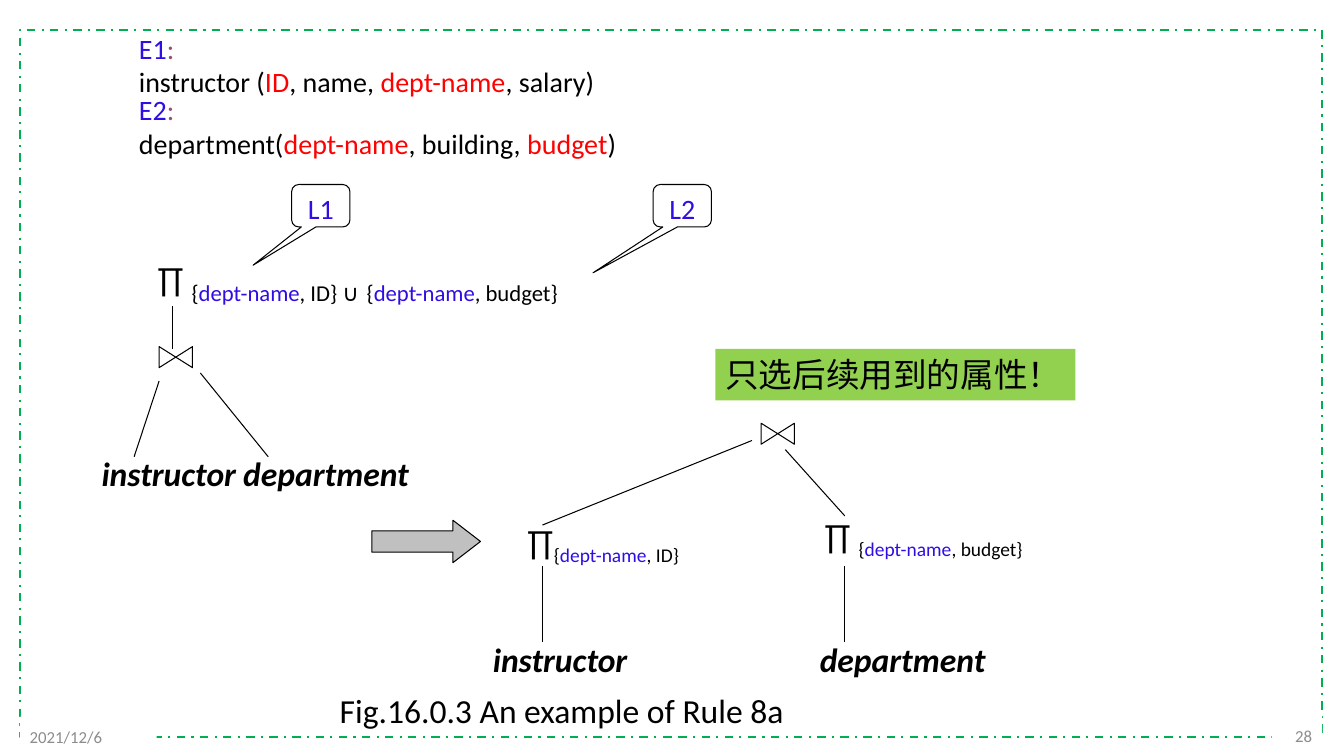
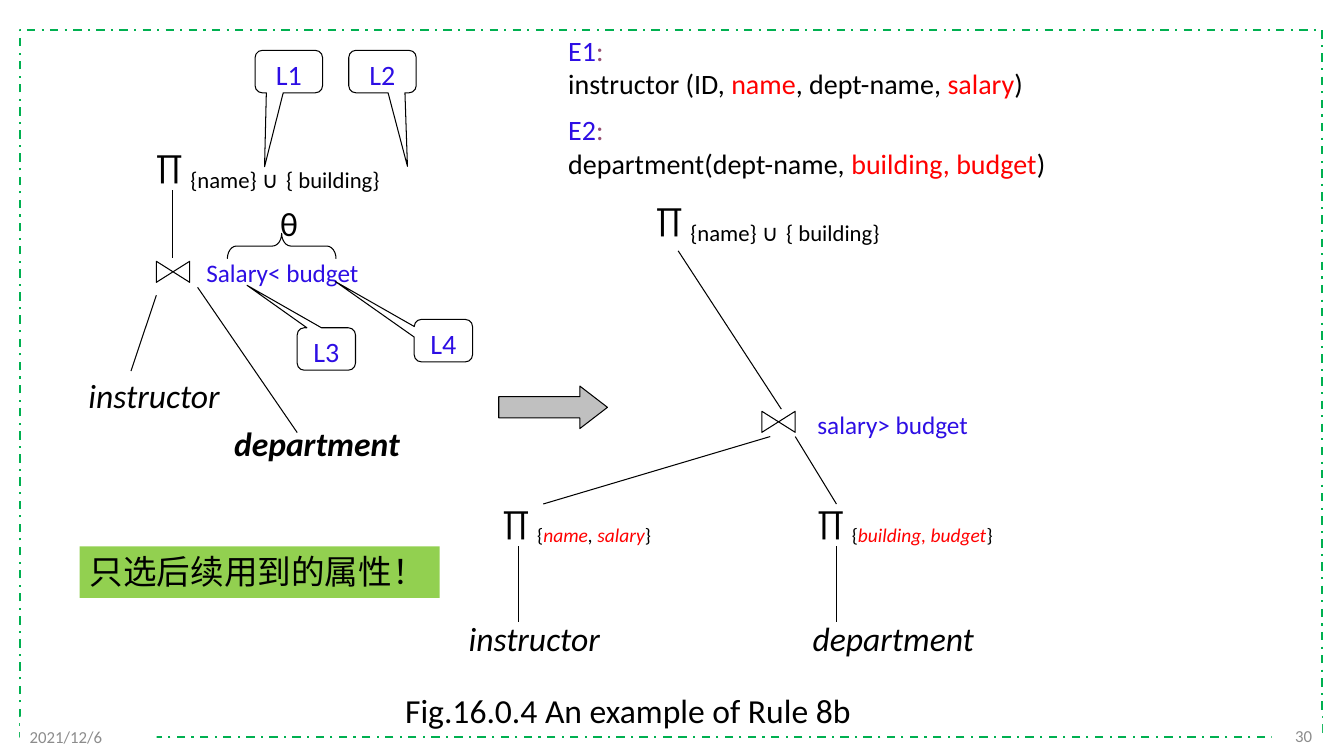
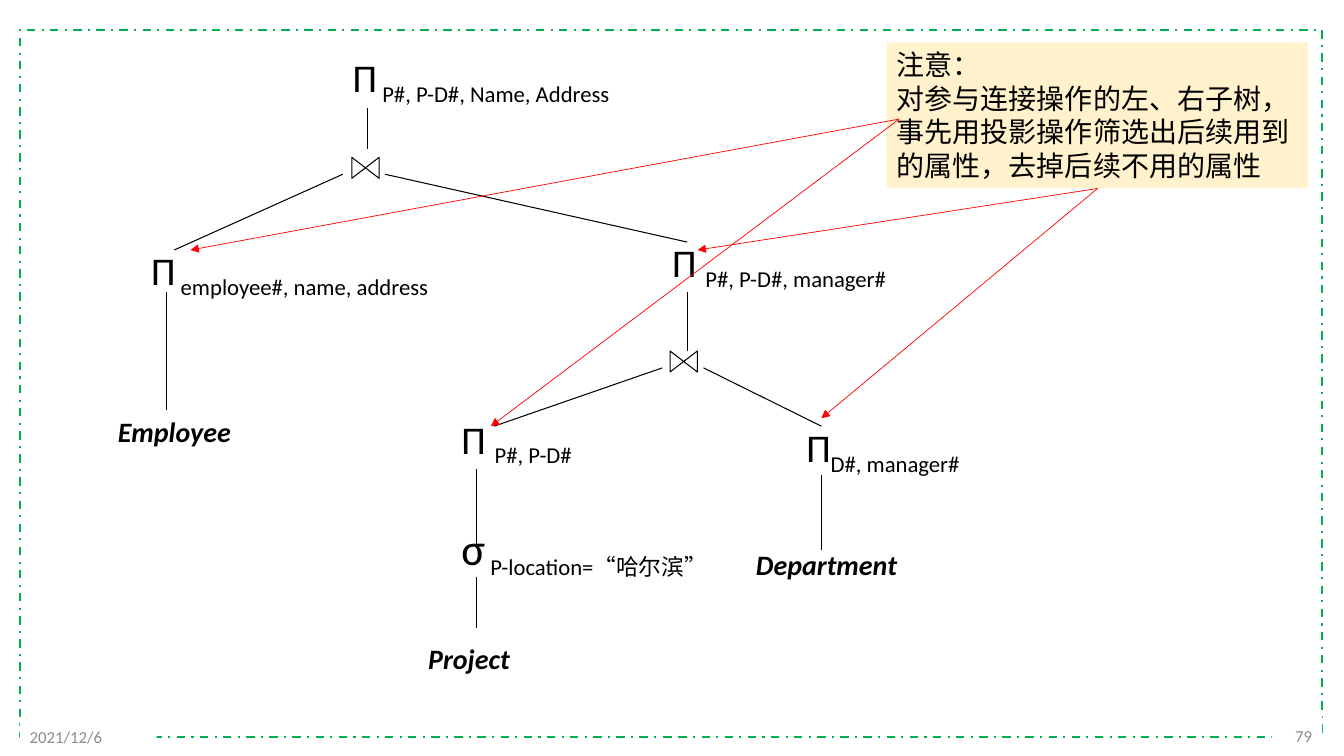
from dataclasses import dataclass

from lxml import etree
from pptx import Presentation
from pptx import util as u
from pptx.dml.color import RGBColor
from pptx.enum import dml, shapes, text
from pptx.oxml.ns import qn

Cm = u.Cm
SHAPE = shapes.MSO_SHAPE
ALIGN = text.PP_ALIGN

# Shared look
LATIN, CJK = "Calibri", "Noto Sans CJK SC"
BLACK, WHITE, RED, BLUE = "000000", "FFFFFF", "FF0000", "2D0EE4"
GREEN, LIME, CREAM = "00B050", "92D050", "FFF2CC"
GREY, SILVER, PLUM = "8C8C8C", "C0C0C0", "954F72"
DATE = "2021/12/6"
HINT = "只选后续用到的属性！"


@dataclass
class Run:
    text: str
    color: str = BLACK
    size: int = 24
    bold: bool = False
    italic: bool = False
    sub: bool = False
    font: str = LATIN


def rgb(value):
    return RGBColor.from_string(value)


# Text
def fill_text(sp, paras, align=ALIGN.LEFT, anchor=text.MSO_ANCHOR.TOP, wrap=True):
    tf = sp.text_frame
    tf.word_wrap = wrap
    tf.vertical_anchor = anchor
    for i, runs in enumerate(paras):
        p = tf.add_paragraph() if i else tf.paragraphs[0]
        p.alignment = align
        for item in runs:
            r = p.add_run()
            r.text = item.text
            f = r.font
            f.name, f.size = item.font, u.Pt(item.size)
            f.bold, f.italic = item.bold, item.italic
            f.color.rgb = rgb(item.color)
            r_pr = r._r.get_or_add_rPr()
            if item.sub:
                r_pr.set("baseline", "-25000")
            r_pr.find(qn("a:latin")).addnext(
                etree.Element(qn("a:ea"), typeface=CJK))


def add_text(s, x, y, w, h, *paras, wrap=False):
    sp = s.shapes.add_textbox(Cm(x), Cm(y), Cm(w), Cm(h))
    fill_text(sp, paras, wrap=wrap)
    sp.text_frame.auto_size = text.MSO_AUTO_SIZE.SHAPE_TO_FIT_TEXT
    return sp


def relation(s, x, y, name, bold=True, size=24):
    add_text(s, x, y, 5.2, 1.27, [Run(name, size=size, bold=bold, italic=True)])


def caption(s, x, label):
    add_text(s, x, 17.27, 11.8, 1.27, [Run(label)])


def condition(s, x, y, label):
    add_text(s, x, y, 4.4, 1.02, [Run(label, BLUE, 18)])


def operator(s, x, y, w, symbol, *subs, size=24):
    """An operator sign with subscripts, each given as (text, colour[, italic])."""
    runs = [Run(symbol, size=size)]
    for label, color, *italic in subs:
        runs.append(Run(label, color, size, sub=True, italic=bool(italic)))
    add_text(s, x, y, w, 1.45, runs)


def union_operator(s, x, y, left, right):
    """Projection on the union of two attribute lists."""
    runs = [Run("∏ ")]
    runs += [Run(t, c, 28, sub=True) for t, c in left]
    runs.append(Run(" "))
    runs += [Run(t, c, 28, sub=True) for t, c in right]
    add_text(s, x, y, 12.4, 2.64, runs)


def schemas(s, x, tops, *lines):
    """Headed relation schemas; each line is a list of (text, colour)."""
    for i, (y, line) in enumerate(zip(tops, lines), 1):
        add_text(s, x, y, 13.28, 1.96,
                 [Run(f"E{i}", BLUE, 20), Run(":", PLUM, 20)],
                 [Run(t, c, 20) for t, c in line], wrap=True)


# Shapes
def add_shape(s, kind, x, y, w, h, fill=None, line=None, weight=0.75, adj=()):
    sp = s.shapes.add_shape(kind, Cm(x), Cm(y), Cm(w), Cm(h))
    sp.shadow.inherit = False
    if fill:
        sp.fill.solid()
        sp.fill.fore_color.rgb = rgb(fill)
    else:
        sp.fill.background()
    if line:
        sp.line.color.rgb = rgb(line)
        sp.line.width = u.Pt(weight)
    else:
        sp.line.fill.background()
    for i, value in enumerate(adj):
        sp.adjustments[i] = value
    return sp


def join(s, cx, cy, w=0.84):
    """Bow-tie join sign centred on a point."""
    h = 0.53
    sp = add_shape(s, SHAPE.FLOWCHART_COLLATE, cx - h / 2, cy - w / 2, h, w, line=BLACK)
    sp.rotation = 90


def callout(s, x, y, label, dx, dy, w=1.47):
    sp = add_shape(s, SHAPE.ROUNDED_RECTANGULAR_CALLOUT, x, y, w, 1.07,
                   line=BLACK, adj=(dx, dy, 0.17))
    fill_text(sp, [[Run(label, BLUE, 20)]], ALIGN.CENTER)


def block_arrow(s, x, y):
    add_shape(s, SHAPE.RIGHT_ARROW, x, y, 2.74, 1.07, SILVER, BLACK, adj=(0.5, 0.65))


def hint(s, x, y):
    sp = add_shape(s, SHAPE.RECTANGLE, x, y, 9.07, 1.3, LIME)
    fill_text(sp, [[Run(HINT, font=CJK)]], wrap=False)


# Lines
def add_line(s, x1, y1, x2, y2, color=BLACK, weight=0.75, arrow=False):
    c = s.shapes.add_connector(shapes.MSO_CONNECTOR.STRAIGHT,
                               Cm(x1), Cm(y1), Cm(x2), Cm(y2))
    c.line.color.rgb = rgb(color)
    c.line.width = u.Pt(weight)
    if arrow:
        etree.SubElement(c.line._get_or_add_ln(), qn("a:tailEnd"), type="triangle")
    etree.SubElement(c._element.spPr, qn("a:effectLst"))
    return c


def add_lines(s, *ends):
    for end in ends:
        add_line(s, *end)


# Page frame, date and number
def new_slide(prs, number):
    s = prs.slides.add_slide(prs.slide_layouts[6])
    frame = add_shape(s, SHAPE.RECTANGLE, 0.5, 0.76, 32.82, 17.81, line=GREEN, weight=1.5)
    frame.line.dash_style = dml.MSO_LINE.DASH_DOT
    for x, y, w, label, align in ((32.05, 18.03, 1.27, str(number), ALIGN.RIGHT),
                                  (0.5, 18.06, 3.45, DATE, ALIGN.LEFT)):
        sp = add_shape(s, SHAPE.RECTANGLE, x, y, w, 1.02, WHITE)
        fill_text(sp, [[Run(label, GREY, 12)]], align, text.MSO_ANCHOR.MIDDLE)
    return s


def rule_8a(prs):
    s = new_slide(prs, 28)
    schemas(s, 3.25, (0.66, 2.21),
            [("instructor (", BLACK), ("ID", RED), (", name, ", BLACK),
             ("dept-name", RED), (", salary)", BLACK)],
            [("department(", BLACK), ("dept-name", RED), (", building, ", BLACK),
             ("budget", RED), (")", BLACK)])
    # Tree before the rule
    key = [("{", BLACK), ("dept-name", BLUE)]
    union_operator(s, 3.71, 6.24, key + [(", ID} ∪", BLACK)], key + [(", budget}", BLACK)])
    callout(s, 7.35, 4.65, "L1", -1.16, 1.4)
    callout(s, 16.46, 4.65, "L2", -1.53, 1.58)
    join(s, 4.43, 9)
    add_lines(s, (4.34, 7.72, 4.34, 8.79), (4.01, 9.6, 3.38, 11.51),
              (5.05, 9.4, 6.76, 11.51))
    relation(s, 2.31, 11.3, "instructor")
    relation(s, 5.88, 11.3, "department")
    block_arrow(s, 9.37, 13.11)
    # Tree after the rule
    hint(s, 18.03, 8.79)
    join(s, 19.6, 10.93)
    add_lines(s, (18.95, 11.1, 13.67, 13.23), (19.79, 11.33, 21.29, 13))
    operator(s, 13.03, 13, 5.11, "∏", *key, (", ID}", BLACK))
    operator(s, 20.52, 12.85, 6.22, "∏ ", *key, (", budget}", BLACK))
    for x in (13.67, 21.29):
        add_line(s, x, 14.27, x, 16.18)
    relation(s, 12.17, 15.98, "instructor")
    relation(s, 20.41, 15.98, "department")
    caption(s, 8.31, "Fig.16.0.3 An example of Rule 8a")


def rule_8b(prs):
    s = new_slide(prs, 30)
    schemas(s, 14.07, (0.71, 2.72),
            [("instructor (ID, ", BLACK), ("name", RED), (", dept-name, ", BLACK),
             ("salary", RED), (")", BLACK)],
            [("department(dept-name, ", BLACK), ("building, budget", RED), (")", BLACK)])
    # Projection at the root of both trees
    for x, y in ((3.68, 3.38), (16.28, 4.72)):
        union_operator(s, x, y, [("{name} ∪", BLACK)], [("{ building}", BLACK)])
    # Tree before the rule
    join(s, 4.36, 6.85)
    condition(s, 4.95, 6.35, "Salary< budget")
    add_lines(s, (4.34, 4.8, 4.34, 6.5), (3.94, 7.44, 3.3, 9.35),
              (4.98, 7.24, 7.49, 10.9))
    callout(s, 6.43, 1.27, "L1", -0.36, 2.24, 1.7)
    callout(s, 8.79, 1.27, "L2", 0.37, 2.23, 1.7)
    callout(s, 10.44, 8.05, "L4", -1.85, -1.39)
    callout(s, 7.49, 8.26, "L3", -1.36, -1.5)
    brace = add_shape(s, SHAPE.RIGHT_BRACE, 6.78, 4.83, 0.64, 2.74,
                      line=BLACK, adj=(0.36, 0.5))
    brace.rotation = 270
    add_text(s, 6.81, 4.98, 0.97, 1.27, [Run("θ")])
    relation(s, 1.98, 9.32, "instructor", bold=False)
    relation(s, 5.65, 10.54, "department")
    hint(s, 2.01, 13.77)
    block_arrow(s, 12.57, 9.73)
    # Tree after the rule
    join(s, 19.62, 10.63)
    condition(s, 20.35, 10.19, "salary> budget")
    add_lines(s, (17.09, 6.32, 19.69, 10.31), (19.41, 11, 13.69, 12.7),
              (20.04, 11, 21.08, 12.7))
    operator(s, 12.42, 12.49, 4.95, "∏ ", ("{", BLACK), ("name", RED, True),
             (", ", BLACK, True), ("salary", RED, True), ("}", BLACK))
    operator(s, 20.35, 12.49, 5.74, "∏ ", ("{", BLACK),
             ("building, budget", RED, True), ("}", BLACK))
    for x in (13.06, 21.08):
        add_line(s, x, 13.77, x, 15.67)
    relation(s, 11.56, 15.44, "instructor", bold=False)
    relation(s, 20.23, 15.44, "department", bold=False)
    caption(s, 9.96, "Fig.16.0.4 An example of Rule 8b")


def projection_tree(prs):
    s = new_slide(prs, 79)
    # Operators
    for x, y, symbol, label in ((8.64, 1.22, "Π", " P#, P-D#, Name, Address"),
                                (3.56, 6.08, "Π", " employee#, name, address"),
                                (16.69, 5.89, "Π ", "P#, P-D#, manager#"),
                                (11.38, 10.33, "Π ", "P#, P-D#"),
                                (20.07, 10.54, "Π", "D#, manager#")):
        operator(s, x, y, 8.5, symbol, (label, BLACK), size=28)
    add_text(s, 11.38, 13, 7.24, 1.45,
             [Run("σ", size=32), Run(" P-location=", size=28, sub=True),
              Run("“哈尔滨”", size=28, sub=True, font=CJK)])
    join(s, 9.21, 4.23, 0.69)
    join(s, 17.23, 9.11, 0.69)
    # Relations
    relation(s, 2.72, 10.33, "Employee", size=20)
    relation(s, 10.54, 16.05, "Project", size=20)
    relation(s, 18.8, 13.68, "Department", size=20)
    # Branches
    add_lines(s, (9.27, 2.72, 9.27, 3.76), (8.64, 4.39, 4.39, 6.3),
              (9.7, 4.39, 17.32, 6.1), (4.19, 7.37, 4.19, 10.34),
              (17.32, 7.37, 17.32, 8.84), (16.69, 9.27, 12.45, 10.74),
              (17.73, 9.27, 20.7, 10.74), (12.01, 11.81, 12.01, 13.72),
              (12.01, 14.55, 12.01, 15.82), (20.7, 11.96, 20.7, 13.87))
    # Note with pointers
    note = add_shape(s, SHAPE.RECTANGLE, 22.35, 1.07, 10.62, 3.68, CREAM)
    fill_text(note, [[Run(t, size=20, font=CJK)] for t in (
        "注意：",
        "对参与连接操作的左、右子树，事先用投影操作筛选出后续用到的属性，去掉后续不用的属性")])
    for x, y in ((17.58, 6.3), (20.7, 10.54)):
        c = add_line(s, 27.66, 4.75, x, y, RED, 0.5, arrow=True)
        c.begin_connect(note, 2)
    for x, y in ((4.8, 6.3), (12.37, 10.74)):
        add_line(s, 22.66, 3, x, y, RED, 0.5, arrow=True)


def main():
    prs = Presentation()
    prs.slide_width, prs.slide_height = Cm(33.87), Cm(19.05)
    rule_8a(prs)
    rule_8b(prs)
    projection_tree(prs)
    prs.save("out.pptx")


if __name__ == "__main__":
    main()
